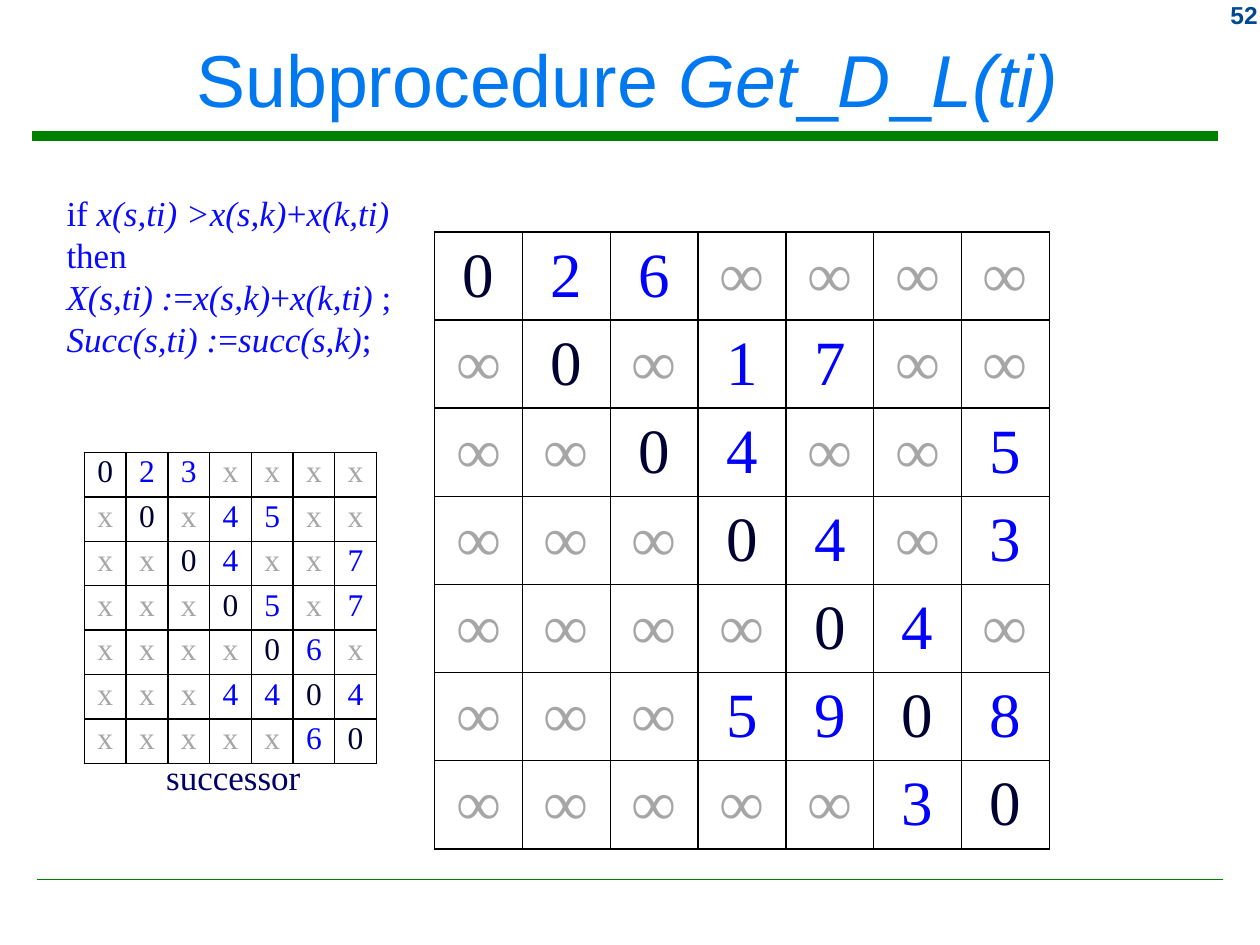
from dataclasses import dataclass
from itertools import product

from lxml.etree import SubElement
from pptx import Presentation
from pptx.dml.color import RGBColor
from pptx.enum.shapes import MSO_CONNECTOR
from pptx.enum.text import MSO_ANCHOR, PP_ALIGN
from pptx.oxml import parse_xml
from pptx.oxml.ns import nsdecls, qn
from pptx.util import Inches, Pt


@dataclass(frozen=True)
class Theme:
    sans: str = "Arial"
    serif: str = "Times New Roman"
    title: str = "0078F0"
    number: str = "004992"
    rule: str = "008000"
    code: str = "0A0AFF"
    caption: str = "000066"
    diagonal: str = "000033"
    value: str = "0000FF"
    missing: str = "A6A6A6"
    border: str = "000000"
    cell: str = "FFFFFF"
    title_size: float = 42
    number_size: float = 14
    body_size: float = 20
    distance_size: float = 36
    successor_size: float = 18


THEME = Theme()
WIDTH, HEIGHT = Inches(10), Inches(7.5)

TITLE = [[("Subprocedure ", False), ("Get", True), ("_", False), ("D", True),
          ("_", False), ("L(ti)", True)]]
NUMBER = [[("52", False)]]
CAPTION = [[("successor", False)]]
CODE = [
    [("if ", False), ("x(s,ti) >x(s,k)", True), ("+", False),
     ("x(k,ti) ", True), ("then", False)],
    [("X(s,ti) :", True), ("=", False), ("x(s,k)", True), ("+", False),
     ("x(k,ti) ", True), (";", False)],
    [("Succ(s,ti) :", True), ("=", False), ("succ(s,k)", True), (";", False)],
]
DISTANCES = [
    "0 2 6 ∞ ∞ ∞ ∞",
    "∞ 0 ∞ 1 7 ∞ ∞",
    "∞ ∞ 0 4 ∞ ∞ 5",
    "∞ ∞ ∞ 0 4 ∞ 3",
    "∞ ∞ ∞ ∞ 0 4 ∞",
    "∞ ∞ ∞ 5 9 0 8",
    "∞ ∞ ∞ ∞ ∞ 3 0",
]
SUCCESSORS = [
    "0 2 3 x x x x",
    "x 0 x 4 5 x x",
    "x x 0 4 x x 7",
    "x x x 0 5 x 7",
    "x x x x 0 6 x",
    "x x x 4 4 0 4",
    "x x x x x 6 0",
]

RULES = [(2.5, 96.7, 14.4, 5.25), (2.9, 97.1, 93.07, 1)]
TEXTS = [
    (NUMBER, (91.7, -0.67, 9.1, 4.4), THEME.sans, THEME.number_size,
     THEME.number, PP_ALIGN.RIGHT, MSO_ANCHOR.TOP, True, True),
    (TITLE, (0.8, 1.2, 98, 14.13), THEME.sans, THEME.title_size,
     THEME.title, PP_ALIGN.CENTER, MSO_ANCHOR.MIDDLE, False, True),
    (CAPTION, (12.2, 79.33, 12.8, 5.87), THEME.serif, THEME.body_size,
     THEME.caption, PP_ALIGN.LEFT, MSO_ANCHOR.TOP, False, False),
    (CODE, (4.3, 19.6, 32.3, 19.33), THEME.serif, THEME.body_size,
     THEME.code, PP_ALIGN.LEFT, MSO_ANCHOR.TOP, False, True),
]
TABLES = [
    (DISTANCES, (34.5, 24.53, 48.8, 65.33), THEME.distance_size,
     MSO_ANCHOR.MIDDLE, 0.1, 0.05),
    (SUCCESSORS, (6.7, 47.87, 23.2, 32.93), THEME.successor_size,
     MSO_ANCHOR.TOP, 0.05, 0.02),
]


def across(percent):
    return round(WIDTH * percent / 100)


def down(percent):
    return round(HEIGHT * percent / 100)


def place(area):
    left, top, width, height = area
    return across(left), down(top), across(width), down(height)


def set_font(font, name, size, color):
    font.name = name
    font.size = Pt(size)
    font.color.rgb = RGBColor.from_string(color)


def add_rule(page, start, end, level, weight):
    rule = page.shapes.add_connector(
        MSO_CONNECTOR.STRAIGHT, across(start), down(level), across(end), down(level))
    rule.line.color.rgb = RGBColor.from_string(THEME.rule)
    rule.line.width = Pt(weight)
    SubElement(rule._element.spPr, qn("a:effectLst"))


def add_text(page, lines, area, font, size, color, align, anchor, bold, wrap):
    frame = page.shapes.add_textbox(*place(area)).text_frame
    frame.word_wrap = wrap
    frame.vertical_anchor = anchor
    for index, line in enumerate(lines):
        para = frame.add_paragraph() if index else frame.paragraphs[0]
        para.alignment = align
        set_font(para.font, font, size, color)
        para.font.bold = bold
        for words, italic in line:
            span = para.add_run()
            span.text = words
            span.font.italic = italic


def add_borders(cell):
    properties = cell._tc.get_or_add_tcPr()
    for index, side in enumerate(("lnL", "lnR", "lnT", "lnB")):
        properties.insert(index, parse_xml(
            f'<a:{side} {nsdecls("a")} w="{Pt(1)}"><a:solidFill>'
            f'<a:srgbClr val="{THEME.border}"/></a:solidFill></a:{side}>'))


def entry_color(entry):
    if entry == "0":
        return THEME.diagonal
    return THEME.value if entry.isdigit() else THEME.missing


def add_matrix(page, lines, area, size, anchor, side_margin, end_margin):
    entries = [line.split() for line in lines]
    count = len(entries)
    left, top, width, height = place(area)
    table = page.shapes.add_table(count, count, left, top, width, height).table
    table.first_row = table.horz_banding = False
    for index in range(count):
        table.columns[index].width = width // count
        table.rows[index].height = height // count
    for row, column in product(range(count), repeat=2):
        cell, entry = table.cell(row, column), entries[row][column]
        cell.text = entry
        cell.vertical_anchor = anchor
        cell.margin_left = cell.margin_right = Inches(side_margin)
        cell.margin_top = cell.margin_bottom = Inches(end_margin)
        cell.fill.solid()
        cell.fill.fore_color.rgb = RGBColor.from_string(THEME.cell)
        add_borders(cell)
        para = cell.text_frame.paragraphs[0]
        para.alignment = PP_ALIGN.CENTER
        set_font(para.font, THEME.serif, size, entry_color(entry))


def main():
    deck = Presentation()
    deck.slide_width, deck.slide_height = WIDTH, HEIGHT
    page = deck.slides.add_slide(deck.slide_layouts[6])
    for rule in RULES:
        add_rule(page, *rule)
    for matrix in TABLES:
        add_matrix(page, *matrix)
    for text in TEXTS:
        add_text(page, *text)
    deck.save("out.pptx")


if __name__ == "__main__":
    main()
